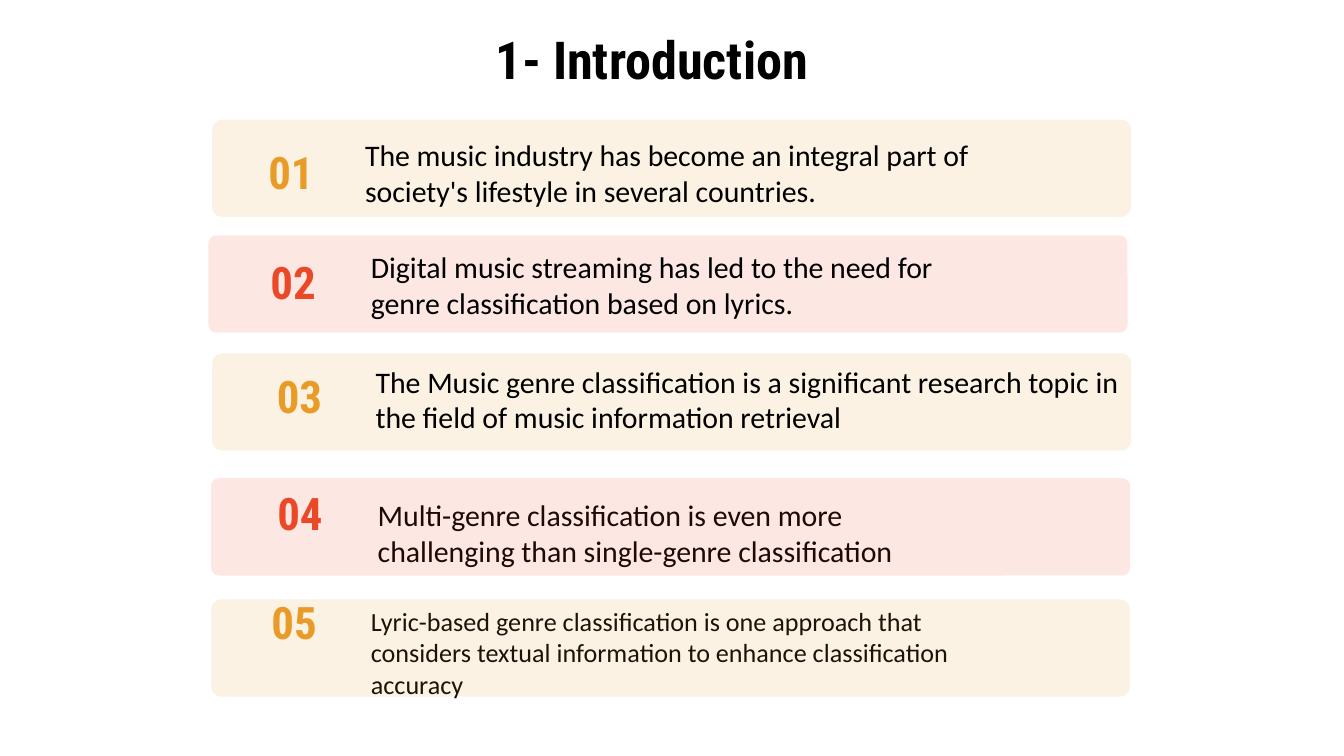
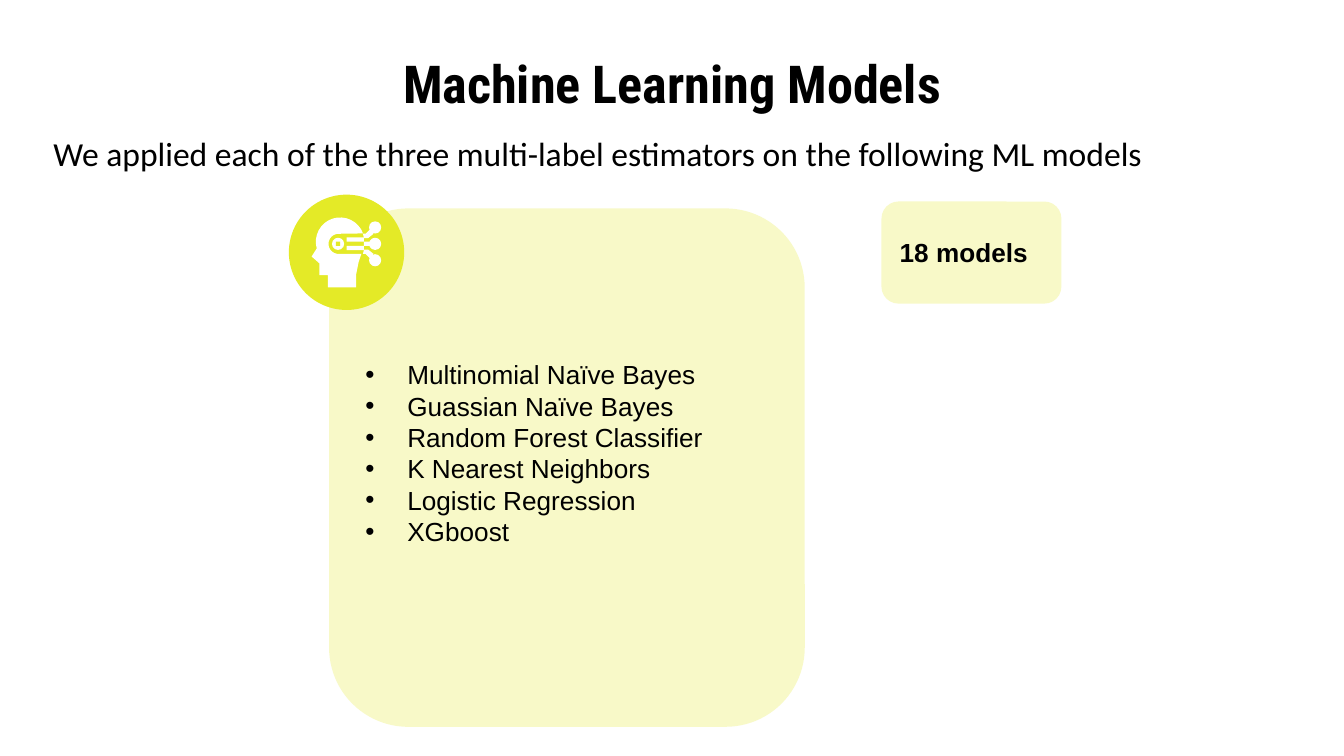
from math import cos, sin, radians
from lxml.etree import SubElement
from pptx import Presentation
from pptx.dml.color import RGBColor as Rgb
from pptx.enum.shapes import MSO_SHAPE as Kind
from pptx.enum.text import MSO_ANCHOR as Anchor, PP_ALIGN as Align
from pptx.oxml.ns import qn
from pptx.util import Cm, Pt

HUES = {"ink": "000000", "amber": "E99B27", "red": "EA4827",
        "lime": "E4EA27", "white": "FFFFFF"}
HEAD, BODY, PLAIN = "Roboto Condensed", "Calibri", "Arial"
INSET = 0.25

# Card corner, number offset, text offset, text width and height, size, text
ROWS = [
    ((4.01, 2.26), (-0.36, -0.51), (2.64, 0.6), (12.6, 0.81), 16,
     "The music industry has become an integral part of society's "
     "lifestyle in several countries."),
    ((3.94, 4.45), (-0.25, -0.61), (2.82, 0.48), (11.86, 0.91), 16,
     "Digital music streaming has led to the need for genre "
     "classification based on lyrics."),
    ((4.01, 6.68), (-0.2, -0.69), (2.84, 0.05), (14.91, 1.63), 16,
     "The Music genre classification is a significant research topic in "
     "the field of music information retrieval"),
    ((3.99, 9.04), (-0.17, -0.84), (2.9, 0.58), (11.86, 0.91), 16,
     "Multi-genre classification is even more challenging than "
     "single-genre classification"),
    ((3.99, 11.33), (-0.28, -1.07), (2.77, 0.6), (12.6, 0.81), 14,
     "Lyric-based genre classification is one approach that considers "
     "textual information to enhance classification accuracy"),
]
MODELS = ["Multinomial Naïve Bayes", "Guassian Naïve Bayes",
          "Random Forest Classifier", "K Nearest Neighbors",
          "Logistic Regression", "XGboost"]


def paint(shape, hue, alpha=None):
    shape.shadow.inherit = False
    shape.line.fill.background()
    shape.fill.solid()
    shape.fill.fore_color.rgb = Rgb.from_string(HUES[hue])
    if alpha:
        tone = shape.fill._xPr.find(".//" + qn("a:srgbClr"))
        SubElement(tone, qn("a:alpha"), val=str(alpha * 1000))


def draw(slide, kind, box, hue, alpha=None, bend=None):
    shape = slide.shapes.add_shape(kind, *map(Cm, box))
    if bend is not None:
        shape.adjustments[0] = bend
    paint(shape, hue, alpha)
    return shape


def outline(slide, points, hue):
    dots = [(Cm(x), Cm(y)) for x, y in points]
    pen = slide.shapes.build_freeform(*dots[0])
    pen.add_line_segments(dots[1:])
    paint(pen.convert_to_shape(), hue)


def write(shape, lines, size, face, hue="ink", bold=False,
          align=Align.LEFT, anchor=Anchor.MIDDLE):
    frame = shape.text_frame
    frame.word_wrap = True
    frame.vertical_anchor = anchor
    frame.margin_left = frame.margin_right = Cm(INSET)
    frame.margin_top = frame.margin_bottom = Cm(INSET)
    frame.text = "\n".join(lines)
    for para in frame.paragraphs:
        para.alignment = align
        font = para.font
        font.size, font.name, font.bold = Pt(size), face, bold
        font.color.rgb = Rgb.from_string(HUES[hue])
    return frame


def label(slide, box, text, size, face, **style):
    write(slide.shapes.add_textbox(*map(Cm, box)), [text], size, face, **style)


def title(slide, left, top, text):
    label(slide, (left, top, 22.86, 1.04), text, 28, HEAD,
          bold=True, align=Align.CENTER)


def bullet(para):
    props = para._p.get_or_add_pPr()
    props.set("marL", str(Cm(0.79)))
    props.set("indent", str(-Cm(0.79)))
    tint = SubElement(props, qn("a:buClr"))
    SubElement(tint, qn("a:srgbClr"), val=HUES["ink"])
    SubElement(props, qn("a:buFont"), typeface=PLAIN)
    SubElement(props, qn("a:buChar"), char="•")


def row(slide, rank, spot, num, shift, area, size, text):
    """One numbered card; the last two cards tint their text."""
    left, top = spot
    odd = rank % 2
    hue = "amber" if odd else "red"

    def card():
        draw(slide, Kind.ROUNDED_RECTANGLE, (left, top, 17.37, 1.84),
             hue, 13, 0.1 if odd else 0.08)

    if rank < 4:
        card()
    label(slide, (left + shift[0], top + shift[1], *area), text, size, BODY)
    label(slide, (left + num[0], top + num[1], 3.7, 2.97), f"{rank:02}",
          24, HEAD, hue=hue, bold=True, align=Align.CENTER)
    if rank >= 4:
        card()


def arc(x, y, radius, start, end, steps=16):
    turns = [radians(start + (end - start) * i / steps)
             for i in range(steps + 1)]
    return [(x + radius * cos(t), y + radius * sin(t)) for t in turns]


def badge(slide, left, top):
    """Disc with a head whose circuits end in three nodes."""
    axis = top + 0.93

    def disc(x, y, width):
        draw(slide, Kind.OVAL, (x - width / 2, y - width / 2, width, width),
             "white")

    draw(slide, Kind.OVAL, (left, top, 2.18, 2.18), "lime")
    # Head with a slot for the eye
    face = [(0.43, 1.17), (0.58, 1.3), (0.58, 1.52), (0.74, 1.52),
            (0.74, 1.75), (1.27, 1.75), (1.27, 1.52), (1.32, 1.27),
            (1.37, 1.12)]
    head = (arc(0.97, 0.89, 0.46, -20, -196) + face
            + arc(0.94, 0.93, 0.19, 90, 270))
    outline(slide, [(left + x, top + y) for x, y in head], "white")
    # Eye
    disc(left + 0.93, axis, 0.23)
    draw(slide, Kind.RECTANGLE, (left + 0.89, axis - 0.04, 0.08, 0.08), "lime")
    # Circuits
    arm = [(1.4, 0.19), (1.45, 0.19), (1.53, 0.27), (1.6, 0.19),
           (1.5, 0.11), (1.42, 0.11)]
    for side in (-1, 1):
        draw(slide, Kind.RECTANGLE,
             (left + 1.09, axis + side * 0.08 - 0.04, 0.33, 0.08), "white")
        outline(slide, [(left + x, axis + side * y) for x, y in arm], "white")
    draw(slide, Kind.RECTANGLE, (left + 1.42, axis - 0.04, 0.2, 0.08), "white")
    for step in (-1, 0, 1):
        disc(left + 1.63, axis + step * 0.31, 0.23)


def panel(slide, left, top, width, height):
    shape = draw(slide, Kind.ROUNDED_RECTANGLE, (left, top, width, height),
                 "lime", 25)
    frame = write(shape, MODELS, 14, PLAIN)
    frame.margin_bottom = Cm(INSET + 0.56)
    for para in frame.paragraphs:
        bullet(para)
    badge(slide, left - 0.76, top - 0.26)


def intro(slide):
    title(slide, 0.89, 0.58, "1- Introduction")
    for rank, parts in enumerate(ROWS, 1):
        row(slide, rank, *parts)


def models(slide):
    panel(slide, 6.22, 3.94, 8.99, 9.8)
    title(slide, 1.27, 1.04, "Machine Learning Models")
    label(slide, (0.76, 2.26, 24.46, 1.75),
          "We applied each of the three multi-label estimators on the "
          "following ML models", 18, BODY, anchor=Anchor.TOP)
    tag = draw(slide, Kind.ROUNDED_RECTANGLE, (16.66, 3.81, 3.4, 1.93),
               "lime", 25)
    write(tag, ["18 models"], 14, PLAIN, bold=True)


def main():
    deck = Presentation()
    deck.slide_width, deck.slide_height = Cm(25.4), Cm(14.29)
    for build in (intro, models):
        build(deck.slides.add_slide(deck.slide_layouts[6]))
    deck.save("out.pptx")


if __name__ == "__main__":
    main()
